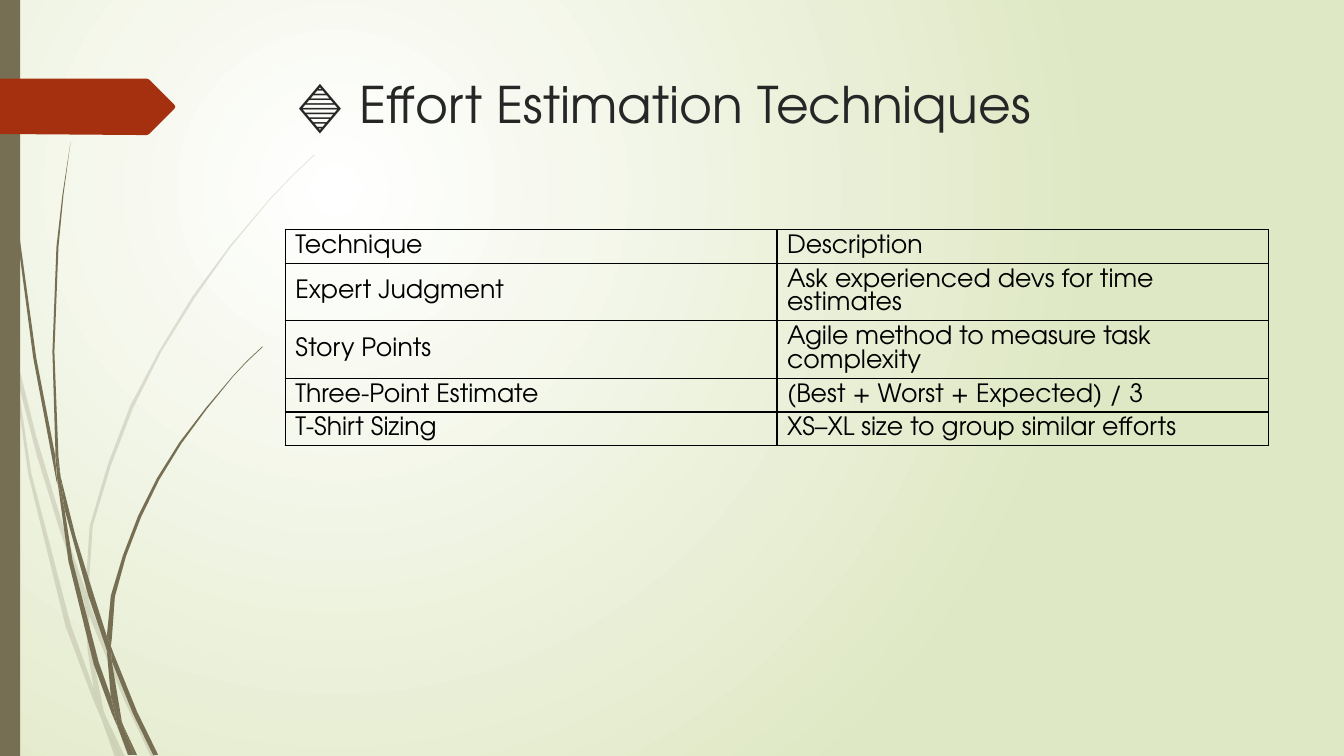
from dataclasses import dataclass

from lxml.etree import SubElement
from pptx import Presentation
from pptx.dml.color import RGBColor
from pptx.enum.shapes import MSO_SHAPE
from pptx.enum.text import MSO_ANCHOR
from pptx.oxml.ns import qn
from pptx.util import Cm, Pt

FONT = "TeX Gyre Adventor"
OLIVE, RED, BLACK, TITLE_GREY = "766F54", "A53010", "000000", "262626"
GRID = Cm(0.0254)  # outlines are drawn on a grid of 1/100 inch


@dataclass
class Outline:
    points: str
    color: str = OLIVE
    opacity: int = 100


FAINT_GRASS = [
    "11,350 9,322 0,282 0,299 10,344",
    "58,522 84,599 85,586 62,520 36,433 14,345 17,376 36,450",
    "92,607 88,596 88,610 123,694 150,751 155,751 127,692",
    "119,751 124,751 105,711",
    "93,683 70,619 31,469 17,376 11,350 28,470 65,621 92,693 101,714 99,707",
    "84,599 87,646 93,683 96,692 105,711 103,706 91,646 88,610 88,608",
    "88,584 92,522 110,462 132,405 160,349 193,296 229,245 268,198 290,175 312,154 "
    "312,153 289,175 268,197 228,244 191,294 158,348 129,403 107,461 89,522 85,584 85,586 88,596",
    "101,714 114,751 119,751",
    "88,608 88,610 88,596 85,586 84,599",
    "96,692 93,683 99,707 101,714 119,751 105,711",
]
DARK_GRASS = [
    "7,110 17,233 33,355 56,477 57,481 55,457 55,453 36,355 19,232 8,109 5,48 4,0 3,0 4,48",
    "88,592 106,645 106,633 106,631 93,590 75,532 60,472 64,505",
    "113,649 110,641 111,656 132,708 152,749 157,749 136,706",
    "110,691 98,657 72,556 64,505 57,477 68,557 93,659 111,708 117,722 116,717",
    "60,472 58,453 54,349 58,245 63,193 70,141 62,193 56,245 52,349 55,449",
    "133,749 136,749 122,719",
    "57,477 64,505 60,472 55,449 55,453",
    "111,633 114,592 125,552 140,513 158,476 180,440 205,406 231,374 245,359 261,344 "
    "260,344 245,358 231,373 204,405 178,439 156,474 137,512 122,551 110,591 106,631 110,641",
    "117,722 127,749 131,749",
    "106,645 110,691 116,706 122,719 121,716 111,656 109,651",
    "106,645 109,651 111,656 110,641 106,631 106,633",
    "116,706 110,691 116,717 117,722 130,749 133,749 122,719",
]
ARROW = Outline("173,108 148,133 146,134 136,134 0,133 0,78 146,78 148,79 173,104 174,106", RED)

TECHNIQUES = [
    ("Technique", "Description"),
    ("Expert Judgment", "Ask experienced devs for time estimates"),
    ("Story Points", "Agile method to measure task complexity"),
    ("Three-Point Estimate", "(Best + Worst + Expected) / 3"),
    ("T-Shirt Sizing", "XS–XL size to group similar efforts"),
]
ROW_HEIGHTS = [0.85, 1.45, 1.45, 0.85, 0.85]


def rgb(color: str) -> RGBColor:
    return RGBColor.from_string(color)


def fill_plain(shape, color: str, opacity: int = 100) -> None:
    shape.shadow.inherit = False
    shape.line.fill.background()
    shape.fill.solid()
    shape.fill.fore_color.rgb = rgb(color)
    if opacity < 100:
        value = shape.fill._xPr.find(".//" + qn("a:srgbClr"))
        SubElement(value, qn("a:alpha"), val=str(opacity * 1000))


def draw_outline(page, outline: Outline) -> None:
    points = [tuple(map(int, pair.split(","))) for pair in outline.points.split()]
    builder = page.shapes.build_freeform(*points[0], scale=GRID)
    builder.add_line_segments(points[1:], close=True)
    fill_plain(builder.convert_to_shape(), outline.color, outline.opacity)


def write(frame, text: str, size: float, color: str):
    para = frame.paragraphs[0]
    span = para.add_run()
    span.text = text
    for name, value in {"name": FONT, "size": Pt(size)}.items():
        setattr(span.font, name, value)
    span.font.color.rgb = rgb(color)
    return para


def paint_background(page) -> None:
    fill = page.background.fill
    fill.gradient()
    for stop, color in zip(fill.gradient_stops, ("FFFFFF", "DFE8C4")):
        stop.color.rgb = rgb(color)
    gradient = page._element.find(".//" + qn("a:gradFill"))
    gradient.remove(gradient.find(qn("a:lin")))
    circle = SubElement(gradient, qn("a:path"), {"path": "circle"})
    SubElement(circle, qn("a:fillToRect"), l="50000", t="50000", r="100000", b="100000")


def add_borders(cell) -> None:
    properties = cell._tc.get_or_add_tcPr()
    for index, side in enumerate(("lnL", "lnR", "lnT", "lnB")):
        border = SubElement(properties, qn(f"a:{side}"), w=str(Pt(1)))
        solid = SubElement(border, qn("a:solidFill"))
        SubElement(solid, qn("a:srgbClr"), val=BLACK)
        properties.insert(index, border)


def add_techniques(page) -> None:
    frame = page.shapes.add_table(
        len(TECHNIQUES), 2, Cm(7.19), Cm(5.78), Cm(24.78), Cm(sum(ROW_HEIGHTS)))
    table = frame.table
    table.first_row = table.horz_banding = False
    for row, height, texts in zip(table.rows, ROW_HEIGHTS, TECHNIQUES):
        row.height = Cm(height)
        for cell, text in zip(row.cells, texts):
            cell.fill.background()
            cell.vertical_anchor = MSO_ANCHOR.MIDDLE
            add_borders(cell)
            write(cell.text_frame, text, 18, BLACK).line_spacing = Pt(16.9)


def main() -> None:
    deck = Presentation()
    deck.slide_width, deck.slide_height = Cm(33.87), Cm(19.05)
    page = deck.slides.add_slide(deck.slide_layouts[6])
    paint_background(page)

    for points in FAINT_GRASS:
        draw_outline(page, Outline(points, opacity=20))
    for points in DARK_GRASS:
        draw_outline(page, Outline(points))
    side_bar = page.shapes.add_shape(MSO_SHAPE.RECTANGLE, 0, 0, Cm(0.51), deck.slide_height)
    fill_plain(side_bar, OLIVE)
    draw_outline(page, ARROW)

    title_box = page.shapes.add_textbox(Cm(7.21), Cm(1.73), Cm(24.77), Cm(3.56))
    title_box.text_frame.word_wrap = True
    write(title_box.text_frame, "🔷 Effort Estimation Techniques", 36, TITLE_GREY)
    add_techniques(page)
    deck.save("out.pptx")


if __name__ == "__main__":
    main()
